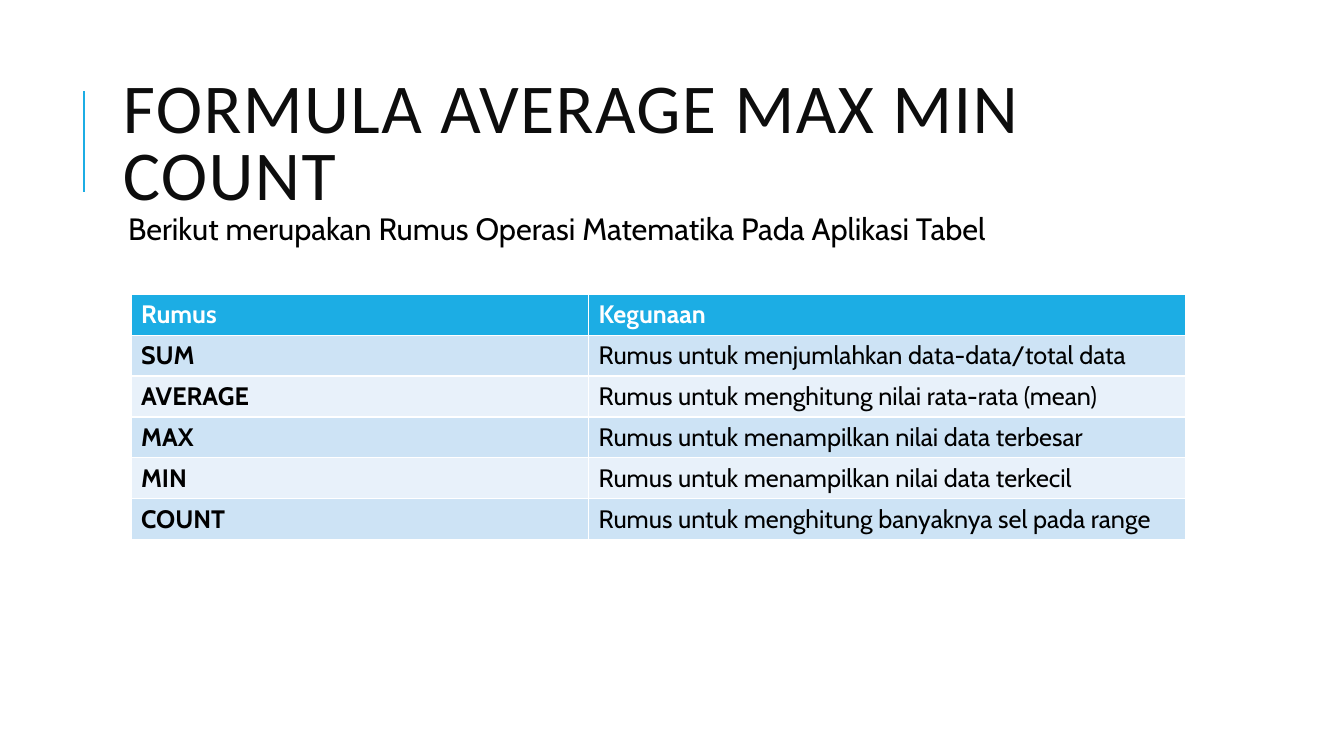
from dataclasses import dataclass

from lxml import etree
from pptx import Presentation
from pptx import util as u
from pptx.dml.color import RGBColor
from pptx.enum import shapes, text
from pptx.oxml import ns

SCALE = 4572
HUES = {
    "blue": "1CADE4",
    "ink": "0D0D0D",
    "black": "000000",
    "white": "FFFFFF",
    "dark": "CDE3F5",
    "light": "E8F1FA",
}
COLS = (908, 1184)
ROW = 81


@dataclass(frozen=True)
class Box:
    left: int
    top: int
    width: int
    height: int


@dataclass(frozen=True)
class Style:
    size: int
    hue: str
    face: str = "Cabin"
    bold: bool = False


@dataclass(frozen=True)
class Rule:
    name: str
    usage: str


RULES = (
    Rule("SUM", "Rumus untuk menjumlahkan data-data/total data"),
    Rule("AVERAGE", "Rumus untuk menghitung nilai rata-rata (mean)"),
    Rule("MAX", "Rumus untuk menampilkan nilai data terbesar"),
    Rule("MIN", "Rumus untuk menampilkan nilai data terkecil"),
    Rule("COUNT", "Rumus untuk menghitung banyaknya sel pada range"),
)


def px(count: int) -> u.Emu:
    return u.Emu(count * SCALE)


def tint(name: str) -> RGBColor:
    return RGBColor.from_string(HUES[name])


def dress(para, style: Style) -> None:
    font = para.font
    font.size = u.Pt(style.size)
    font.name = style.face
    font.bold = style.bold
    font.color.rgb = tint(style.hue)


def write(holder, box: Box, words: str, style: Style, space: float):
    holder.left, holder.top = px(box.left), px(box.top)
    holder.width, holder.height = px(box.width), px(box.height)
    frame = holder.text_frame
    frame.text = words
    frame.word_wrap = True
    frame.auto_size = text.MSO_AUTO_SIZE.NONE
    para = frame.paragraphs[0]
    props = para._p.get_or_add_pPr()
    props.set("marL", "0")
    props.set("indent", "0")
    etree.SubElement(props, ns.qn("a:buNone"))
    para.alignment = text.PP_ALIGN.LEFT
    para.line_spacing = space
    para.space_before = u.Pt(0)
    dress(para, style)
    return frame


def draw_bar(slide) -> None:
    bar = slide.shapes.add_connector(
        shapes.MSO_CONNECTOR.STRAIGHT, px(166), px(380), px(166), px(180)
    )
    bar.line.color.rgb = tint("blue")
    bar.line.width = u.Pt(1.5)
    etree.SubElement(bar._element.spPr, ns.qn("a:effectLst"))


def fill_cell(cell, words: str, fill: str, style: Style) -> None:
    cell.text = words
    cell.fill.solid()
    cell.fill.fore_color.rgb = tint(fill)
    dress(cell.text_frame.paragraphs[0], style)


def draw_table(slide) -> None:
    count = len(RULES) + 1
    table = slide.shapes.add_table(
        count, len(COLS), px(260), px(584), px(sum(COLS)), px(ROW * count)
    ).table
    for col, width in zip(table.columns, COLS):
        col.width = px(width)
    for row in table.rows:
        row.height = px(ROW)
    for col, words in enumerate(("Rumus", "Kegunaan")):
        fill_cell(table.cell(0, col), words, "blue", Style(18, "white", bold=True))
    for row, rule in enumerate(RULES, 1):
        fill = "dark" if row % 2 else "light"
        for col, words in enumerate((rule.name, rule.usage)):
            cell = table.cell(row, col)
            cell.vertical_anchor = text.MSO_ANCHOR.MIDDLE
            fill_cell(cell, words, fill, Style(18, "black", bold=col == 0))


def main() -> None:
    deck = Presentation()
    deck.slide_width, deck.slide_height = px(2667), px(1500)
    slide = deck.slides.add_slide(deck.slide_layouts[1])
    draw_bar(slide)

    title = write(
        slide.shapes.title,
        Box(224, 128, 2126, 328),
        "FORMULA AVERAGE MAX MIN COUNT",
        Style(50, "ink", "Calibri"),
        0.8,
    )
    title.vertical_anchor = text.MSO_ANCHOR.MIDDLE
    title.paragraphs[0].font._element.set("spc", "100")

    intro = write(
        slide.placeholders[1],
        Box(224, 414, 2126, 100),
        "Berikut merupakan Rumus Operasi Matematika Pada Aplikasi Tabel",
        Style(22, "black"),
        0.9,
    )
    intro.margin_left = px(30)
    intro.margin_top = intro.margin_right = intro.margin_bottom = px(10)

    draw_table(slide)
    deck.save("out.pptx")


if __name__ == "__main__":
    main()
